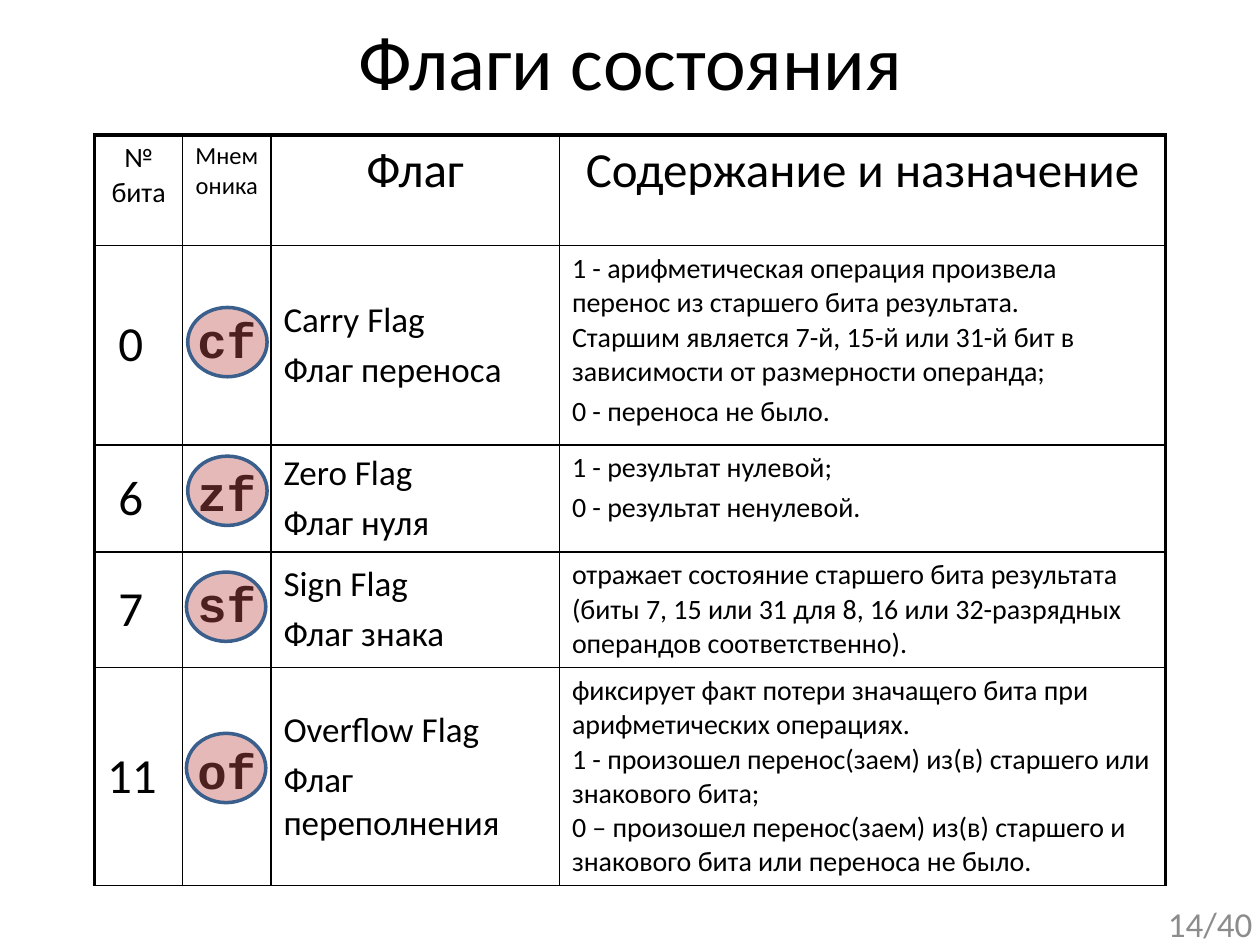
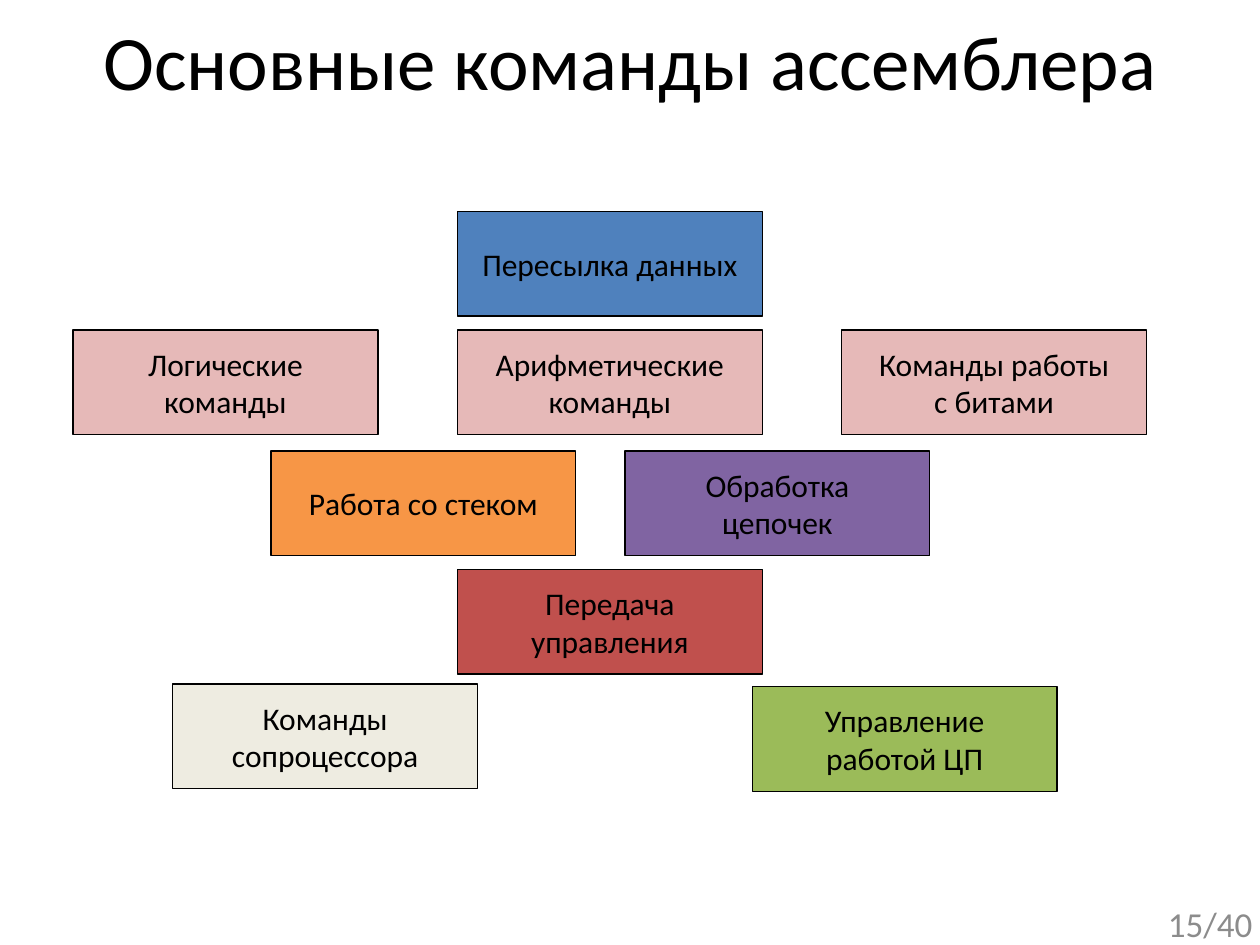
from dataclasses import dataclass

import pptx
import pptx.util
import pptx.dml.color
import pptx.enum.shapes
import pptx.enum.text
import pptx.oxml
import pptx.oxml.ns
from lxml import etree

Inches = pptx.util.Inches
Pt = pptx.util.Pt
ALIGN = pptx.enum.text.PP_ALIGN
ANCHOR = pptx.enum.text.MSO_ANCHOR
SHAPE = pptx.enum.shapes.MSO_SHAPE


@dataclass(frozen=True)
class Theme:
    font: str = "Calibri"
    code_font: str = "Courier New"
    title_size: int = 44
    large: int = 28
    medium: int = 20
    box_size: int = 18
    body: int = 16
    small: int = 14
    black: str = "000000"
    grey: str = "8C8C8C"
    blue: str = "4F81BD"
    dark_blue: str = "3A5F8C"
    red: str = "C0504D"
    pink: str = "E6B9B8"
    orange: str = "F79646"
    purple: str = "8064A2"
    green: str = "9BBB59"
    cream: str = "EEECE1"
    thin: float = 1
    thick: float = 2.25


THEME = Theme()
TITLE_BOX = (0.28, 0.06, 9.45, 1.25)
NUMBER_BOX = (7.71, 7.13, 2.33, 0.4)
TOTAL_SLIDES = 40

# Flag table: bit, mnemonic, names, meaning
COLUMN_WIDTHS = (0.7, 0.7, 2.29, 4.81)
ROW_HEIGHTS = (0.88, 1.58, 0.85, 0.92, 1.73)
HEADERS = (("№ бита", THEME.body), ("Мнемоника", THEME.small),
           ("Флаг", THEME.large), ("Содержание и назначение", THEME.large))
FLAGS = (
    ("0", "cf", ("Carry Flag", "Флаг переноса"),
     ("1 - арифметическая операция произвела перенос из старшего бита результата.\n"
      "Старшим является 7-й, 15-й или 31-й бит в зависимости от размерности операнда;",
      "0 - переноса не было.")),
    ("6", "zf", ("Zero Flag", "Флаг нуля"),
     ("1 - результат нулевой;", "0 - результат ненулевой.")),
    ("7", "sf", ("Sign Flag", "Флаг знака"),
     ("отражает состояние старшего бита результата (биты 7, 15 или 31 для 8, 16 "
      "или 32-разрядных операндов соответственно).",)),
    ("11", "of", ("Overflow Flag", "Флаг переполнения"),
     ("фиксирует факт потери значащего бита при арифметических операциях.\n"
      "1 - произошел перенос(заем) из(в) старшего или знакового бита;\n"
      "0 – произошел перенос(заем) из(в) старшего и знакового бита "
      "или переноса не было.",)),
)
# Highlight offsets from the table's corner
HIGHLIGHTS = ((0.74, 1.37), (0.74, 2.55), (0.73, 3.47), (0.73, 4.75))
HIGHLIGHT_SIZE = (0.63, 0.55)

# Command boxes: left and top offsets from the diagram's corner, fill, lines
COMMAND_SIZE = (2.42, 0.83)
COLUMN_STEP = 3.05
COMMANDS = (
    (COLUMN_STEP, 0, THEME.blue, ("Пересылка данных",)),
    (0, 0.94, THEME.pink, ("Логические", "команды")),
    (COLUMN_STEP, 0.94, THEME.pink, ("Арифметические", "команды")),
    (2 * COLUMN_STEP, 0.94, THEME.pink, ("Команды работы\nс битами",)),
    (1.57, 1.9, THEME.orange, ("Работа со стеком",)),
    (4.38, 1.9, THEME.purple, ("Обработка", "цепочек")),
    (COLUMN_STEP, 2.84, THEME.red, ("Передача", "управления")),
    (0.79, 3.75, THEME.cream, ("Команды", "сопроцессора")),
    (5.39, 3.77, THEME.green, ("Управление", "работой ЦП")),
)


def color(value):
    return pptx.dml.color.RGBColor.from_string(value)


def inches(*lengths):
    return [Inches(length) for length in lengths]


def write(text_frame, paragraphs, size, align=ALIGN.LEFT, font=THEME.font,
          bold=False, text_color=THEME.black, spacing=0):
    """Fill a text frame; a line feed inside a paragraph is a line break."""
    for index, text in enumerate(paragraphs):
        paragraph = text_frame.paragraphs[0] if index == 0 else text_frame.add_paragraph()
        paragraph.alignment = align
        paragraph.space_before = Pt(size * spacing if index else 0)
        for line_index, line in enumerate(text.split("\n")):
            if line_index:
                paragraph.add_line_break()
            run = paragraph.add_run()
            run.text = line
            run.font.name = font
            run.font.size = Pt(size)
            run.font.bold = bold
            run.font.color.rgb = color(text_color)


def add_filled_shape(slide, kind, box, fill, line, line_width):
    shape = slide.shapes.add_shape(kind, *inches(*box))
    shape.shadow.inherit = False
    shape.fill.solid()
    shape.fill.fore_color.rgb = color(fill)
    shape.line.color.rgb = color(line)
    shape.line.width = Pt(line_width)
    return shape


def add_titled_slide(presentation, title, number):
    slide = presentation.slides.add_slide(presentation.slide_layouts[5])
    # Title
    shape = slide.shapes.title
    shape.left, shape.top, shape.width, shape.height = inches(*TITLE_BOX)
    shape.text_frame.vertical_anchor = ANCHOR.TOP
    write(shape.text_frame, [title], THEME.title_size, ALIGN.CENTER)
    # Slide number
    text_frame = slide.shapes.add_textbox(*inches(*NUMBER_BOX)).text_frame
    text_frame.word_wrap = True
    text_frame.vertical_anchor = ANCHOR.MIDDLE
    write(text_frame, [f"{number}/{TOTAL_SLIDES}"], THEME.medium, ALIGN.RIGHT,
          text_color=THEME.grey)
    return slide


def set_borders(cell, widths):
    properties = cell._tc.get_or_add_tcPr()
    for side, width in zip("LRTB", widths):
        line = etree.SubElement(properties, pptx.oxml.ns.qn(f"a:ln{side}"), w=str(Pt(width)))
        fill = etree.SubElement(line, pptx.oxml.ns.qn("a:solidFill"))
        etree.SubElement(fill, pptx.oxml.ns.qn("a:srgbClr"), val=THEME.black)


def add_flag_table(slide, left, top):
    row_count, column_count = len(ROW_HEIGHTS), len(COLUMN_WIDTHS)
    table = slide.shapes.add_table(
        row_count, column_count,
        *inches(left, top, sum(COLUMN_WIDTHS), sum(ROW_HEIGHTS))).table
    table.first_row = table.horz_banding = False
    for column, width in zip(table.columns, COLUMN_WIDTHS):
        column.width = Inches(width)
    for row, height in zip(table.rows, ROW_HEIGHTS):
        row.height = Inches(height)

    # Thick frame on the left, right and top
    for row in range(row_count):
        for column in range(column_count):
            cell = table.cell(row, column)
            outer = (column == 0, column == column_count - 1, row == 0, False)
            set_borders(cell, [THEME.thick if edge else THEME.thin for edge in outer])
            cell.fill.background()
            if row and column < column_count - 1:
                cell.vertical_anchor = ANCHOR.MIDDLE

    # Header row
    for column, (text, size) in enumerate(HEADERS):
        write(table.cell(0, column).text_frame, [text], size, ALIGN.CENTER)

    # Flag rows
    for row, (bit, mnemonic, names, meaning) in enumerate(FLAGS, start=1):
        bit_cell, mnemonic_cell, name_cell, meaning_cell = table.rows[row].cells
        if len(bit) == 1:
            bit_cell.margin_left = Inches(0.19)
        write(bit_cell.text_frame, [bit], THEME.large)
        write(mnemonic_cell.text_frame, [mnemonic], THEME.large, ALIGN.CENTER,
              THEME.code_font, bold=True)
        write(name_cell.text_frame, names, THEME.medium, spacing=0.2)
        write(meaning_cell.text_frame, meaning, THEME.body, spacing=0.2)


def add_highlights(slide, left, top):
    for offset_x, offset_y in HIGHLIGHTS:
        shape = add_filled_shape(slide, SHAPE.OVAL,
                                 (left + offset_x, top + offset_y, *HIGHLIGHT_SIZE),
                                 THEME.red, THEME.dark_blue, 2)
        fill_color = shape.fill._xPr.find(".//" + pptx.oxml.ns.qn("a:srgbClr"))
        etree.SubElement(fill_color, pptx.oxml.ns.qn("a:alpha"), val="40000")


def add_command_boxes(slide, left, top):
    for offset_x, offset_y, fill, lines in COMMANDS:
        shape = add_filled_shape(slide, SHAPE.RECTANGLE,
                                 (left + offset_x, top + offset_y, *COMMAND_SIZE),
                                 fill, THEME.black, 0.75)
        shape.text_frame.word_wrap = False
        shape.text_frame.vertical_anchor = ANCHOR.MIDDLE
        write(shape.text_frame, lines, THEME.box_size, ALIGN.CENTER)


def main():
    presentation = pptx.Presentation()
    presentation.slide_width, presentation.slide_height = inches(10, 7.5)

    flags_slide = add_titled_slide(presentation, "Флаги состояния", 14)
    add_flag_table(flags_slide, 0.75, 1.07)
    add_highlights(flags_slide, 0.75, 1.07)

    commands_slide = add_titled_slide(presentation, "Основные команды ассемблера", 15)
    add_command_boxes(commands_slide, 0.58, 1.68)

    presentation.save("out.pptx")


if __name__ == "__main__":
    main()
